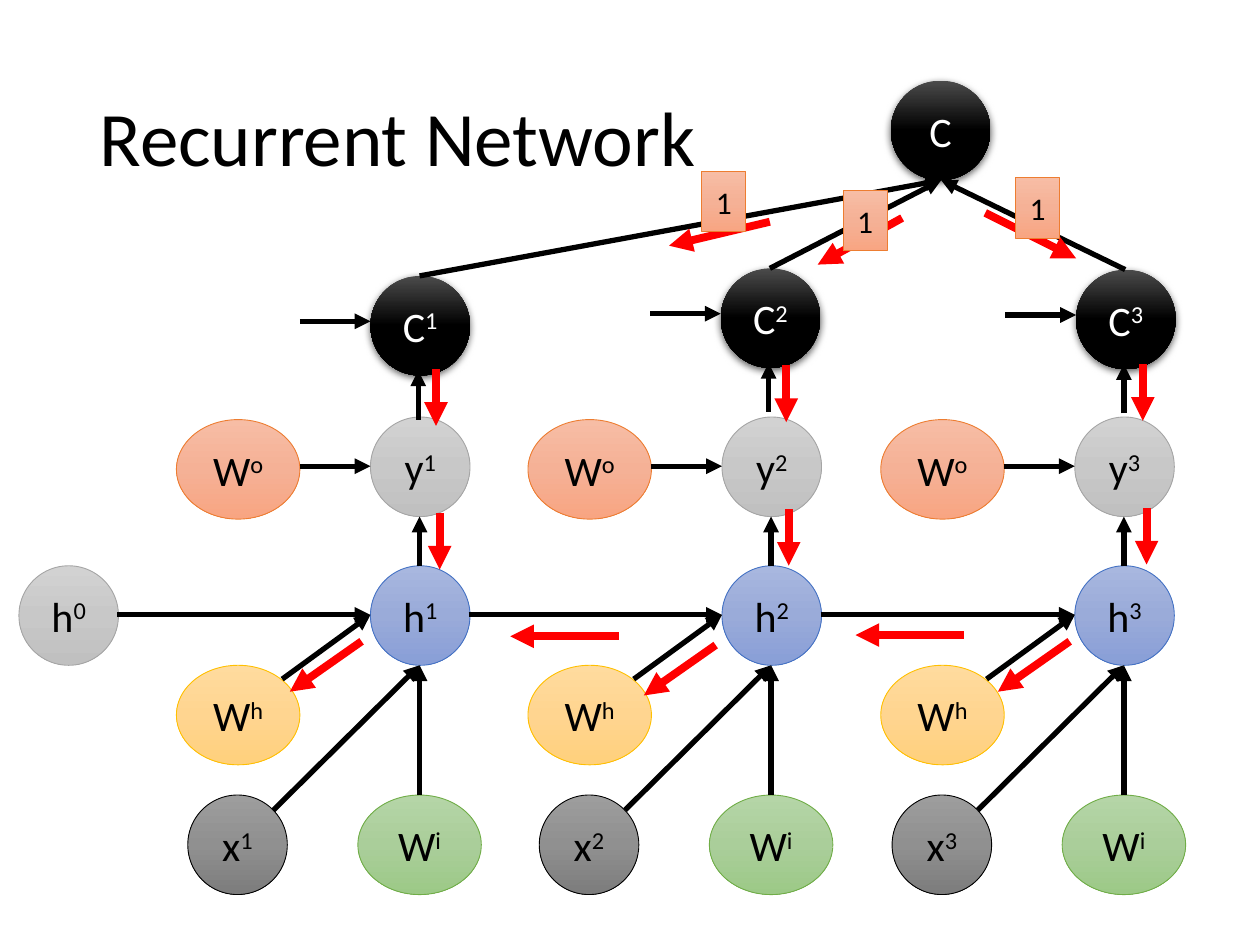
from copy import deepcopy

from lxml.etree import SubElement
from pptx import Presentation
from pptx.dml.color import RGBColor
from pptx.enum.shapes import MSO_CONNECTOR, MSO_SHAPE
from pptx.enum.text import MSO_ANCHOR, PP_ALIGN
from pptx.oxml.ns import qn
from pptx.util import Inches, Pt

COLORS = {"black": "000000", "white": "FFFFFF", "red": "FF0000"}
GRADIENTS = {
    "hidden_weight": ("FFDB9E", "FFD590", "FFD07C"),
    "input_weight": ("B5D5A7", "AACE9A", "9CC987"),
    "output_weight": ("F7BDA5", "F5B196", "F8A582"),
    "input": ("9D9D9D", "909090", "7C7C7C"),
    "output": ("D2D2D2", "C8C8C8", "C0C0C0"),
    "hidden": ("A8B7DF", "9AABD9", "889ED7"),
    "cost": ("4B4B4B", "000000", "000000"),
}
OUTLINES = {
    "hidden_weight": "FFC000",
    "input_weight": "70AD47",
    "output_weight": "ED7D31",
    "input": "000000",
    "output": "A5A5A5",
    "hidden": "4472C4",
}
FONT = "Calibri"
NODE = 0.79
WEIGHT = 0.98
STEP_SHIFTS = (0, 2.79, 5.59)
COST_NODES = ((2.94, 2.19), (5.72, 2.13), (8.54, 2.14))
TOTAL_COST = (7.07, 0.64)


def rgb(code):
    """Turn a hex string into a colour."""
    return RGBColor.from_string(code)


def paint(shape, role):
    """Give a shape the gradient, outline and shadow of its role."""
    shape.shadow.inherit = False
    shape.fill.gradient()
    shape.fill.gradient_angle = 270
    stop_list = shape._element.spPr.find(".//" + qn("a:gsLst"))
    stop_list.append(deepcopy(stop_list[0]))
    stops = zip(shape.fill.gradient_stops, GRADIENTS[role], (0, 0.5, 1))
    for stop, code, position in stops:
        stop.color.rgb = rgb(code)
        stop.position = position
    if role in OUTLINES:
        shape.line.color.rgb = rgb(OUTLINES[role])
        shape.line.width = Pt(0.5)
    else:
        shape.line.fill.background()
        effects = shape._element.spPr.find(qn("a:effectLst"))
        shadow = SubElement(effects, qn("a:outerShdw"), blurRad="57150",
                            dist="19050", dir="5400000", rotWithShape="0")
        shade = SubElement(shadow, qn("a:srgbClr"), val=COLORS["black"])
        SubElement(shade, qn("a:alpha"), val="63000")


def label(shape, letter, superscript, size, color):
    """Write a centred letter with an optional superscript."""
    shape.text_frame.vertical_anchor = MSO_ANCHOR.MIDDLE
    paragraph = shape.text_frame.paragraphs[0]
    paragraph.text = letter
    paragraph.alignment = PP_ALIGN.CENTER
    if superscript:
        raised = paragraph.add_run()
        raised.text = superscript
        raised._r.get_or_add_rPr().set("baseline", "30000")
    for run in paragraph.runs:
        run.font.name = FONT
        run.font.size = Pt(size)
        run.font.color.rgb = rgb(COLORS[color])


def add_node(slide, left, top, role, letter, superscript=""):
    """Add one network unit or weight as a labelled ellipse."""
    width = WEIGHT if role.endswith("weight") else NODE
    node = slide.shapes.add_shape(MSO_SHAPE.OVAL, Inches(left), Inches(top),
                                  Inches(width), Inches(NODE))
    paint(node, role)
    label(node, letter, superscript, 24, "white" if role == "cost" else "black")


def add_gradient_value(slide, left, top):
    """Add a small box that holds a derivative of 1."""
    box = slide.shapes.add_shape(MSO_SHAPE.RECTANGLE, Inches(left), Inches(top),
                                 Inches(0.35), Inches(0.48))
    paint(box, "output_weight")
    label(box, "1", "", 18, "black")


def add_arrow(slide, start, end, color="black", width=3):
    """Add a straight arrow between two points."""
    points = [Inches(value) for value in (*start, *end)]
    arrow = slide.shapes.add_connector(MSO_CONNECTOR.STRAIGHT, *points)
    arrow.line.color.rgb = rgb(COLORS[color])
    arrow.line.width = Pt(width)
    SubElement(arrow.line._get_or_add_ln(), qn("a:tailEnd"), type="triangle")
    SubElement(arrow._element.spPr, qn("a:effectLst"))


def add_back_arrows(slide, starts, dx, dy):
    """Add equal red backpropagation arrows at several starts."""
    for x, y in starts:
        add_arrow(slide, (x, y), (x + dx, y + dy), "red", 4.5)


def add_time_step(slide, shift, step):
    """Add the units, weights and forward arrows of one time step."""
    for left, top, role, letter, superscript in (
        (1.4, 5.28, "hidden_weight", "W", "h"),
        (2.84, 6.31, "input_weight", "W", "i"),
        (1.4, 3.33, "output_weight", "W", "o"),
        (1.49, 6.31, "input", "x", step),
        (2.94, 3.31, "output", "y", step),
        (2.94, 4.49, "hidden", "h", step),
    ):
        add_node(slide, left + shift, top, role, letter, superscript)
    for x1, y1, x2, y2 in (
        (3.33, 6.31, 3.33, 5.28),
        (2.17, 6.43, 3.33, 5.28),
        (2.24, 5.39, 2.94, 4.88),
        (0.93, 4.88, 2.94, 4.88),
        (3.33, 4.49, 3.33, 4.1),
        (2.38, 3.7, 2.94, 3.7),
    ):
        add_arrow(slide, (x1 + shift, y1), (x2 + shift, y2))


def add_costs(slide):
    """Add the cost of each step and the total cost they feed."""
    add_node(slide, *TOTAL_COST, "cost", "C")
    for step, (left, top) in enumerate(COST_NODES, 1):
        add_node(slide, left, top, "cost", "C", str(step))
        add_arrow(slide, (left + 0.38, top + 1.14), (left + 0.38, top + 0.75))
        add_arrow(slide, (left - 0.56, top + 0.36), (left, top + 0.36))
    total_bottom = (TOTAL_COST[0] + 0.4, TOTAL_COST[1] + NODE)
    for left, top in COST_NODES:
        add_arrow(slide, (left + 0.39, top), total_bottom)


def add_backpropagation(slide):
    """Add the red arrows and derivative boxes of the backward pass."""
    add_back_arrows(slide, [(7.82, 1.69)], 0.72, 0.36)
    add_back_arrows(slide, [(7.16, 1.73)], -0.67, 0.37)
    add_back_arrows(slide, [(6.11, 1.76)], -0.8, 0.19)
    for left, top in ((8.06, 1.41), (6.69, 1.51), (5.57, 1.36)):
        add_gradient_value(slide, left, top)
    cost_to_output = [(9.07, 2.89), (6.24, 2.9), (3.46, 2.93)]
    output_to_hidden = [(9.1, 4.03), (6.26, 4.04), (3.49, 4.07)]
    add_back_arrows(slide, cost_to_output + output_to_hidden, 0, 0.45)
    add_back_arrows(slide, [(8.49, 5.09), (5.68, 5.12), (2.87, 5.09)], -0.57, 0.4)
    add_back_arrows(slide, [(7.65, 5.04), (4.91, 5.05)], -0.86, 0)


def set_title(slide, wording):
    """Place and format the slide title."""
    title = slide.shapes.title
    title.left, title.top = Inches(0.69), Inches(0.4)
    title.width, title.height = Inches(8.62), Inches(1.45)
    title.text_frame.text = wording
    title.text_frame.vertical_anchor = MSO_ANCHOR.MIDDLE
    paragraph = title.text_frame.paragraphs[0]
    paragraph.alignment = PP_ALIGN.LEFT
    paragraph.line_spacing = 0.9
    font = paragraph.runs[0].font
    font.name, font.size = FONT, Pt(44)
    font.color.rgb = rgb(COLORS["black"])


def main():
    """Build the recurrent network slide."""
    deck = Presentation()
    deck.slide_width, deck.slide_height = Inches(10), Inches(7.5)
    slide = deck.slides.add_slide(deck.slide_layouts[5])
    set_title(slide, "Recurrent Network")
    add_node(slide, 0.15, 4.49, "output", "h", "0")
    for step, shift in enumerate(STEP_SHIFTS, 1):
        add_time_step(slide, shift, str(step))
    add_costs(slide)
    add_backpropagation(slide)
    deck.save("out.pptx")


if __name__ == "__main__":
    main()
